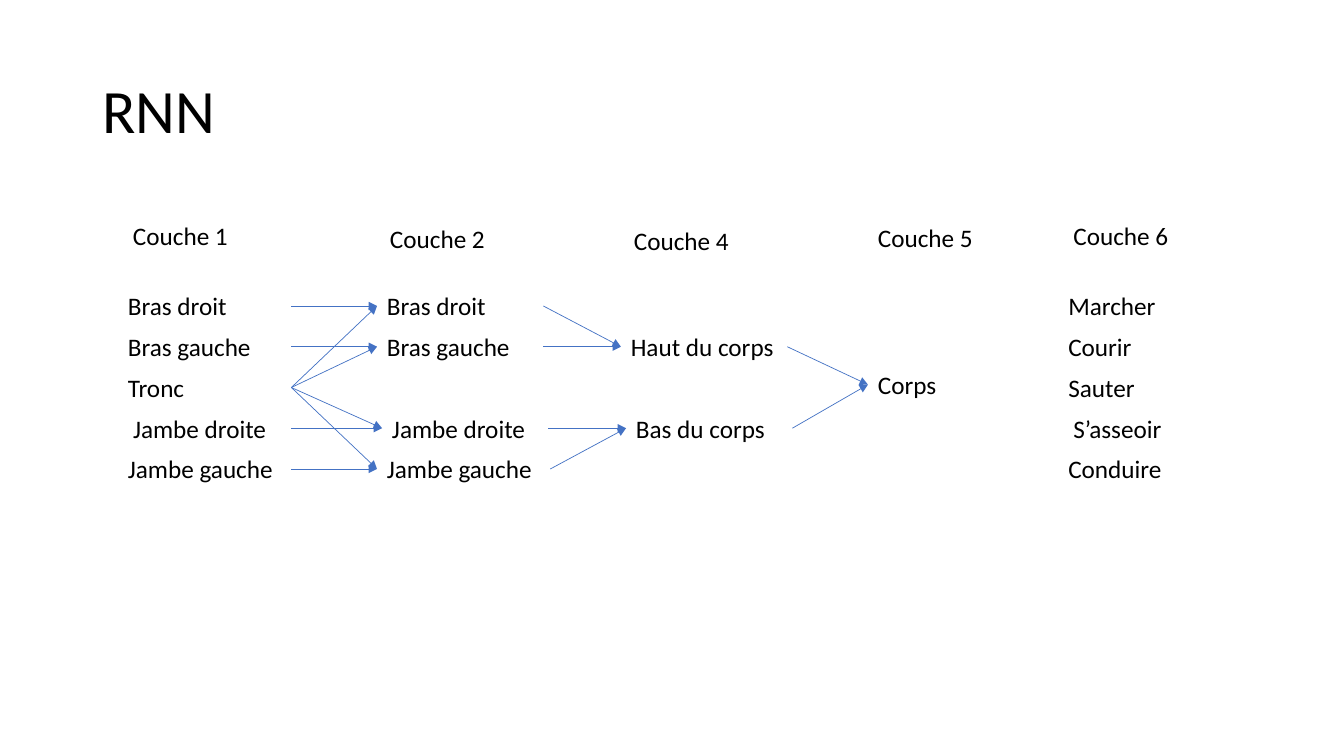
from pptx import Presentation
from pptx.dml.color import RGBColor
from pptx.enum.shapes import MSO_CONNECTOR
from pptx.enum.text import MSO_ANCHOR, MSO_AUTO_SIZE, PP_ALIGN
from pptx.oxml.ns import qn
from pptx.util import Inches, Pt
from lxml import etree

STRAIGHT = MSO_CONNECTOR.STRAIGHT
MIDDLE = MSO_ANCHOR.MIDDLE
LEFT = PP_ALIGN.LEFT
GROW = MSO_AUTO_SIZE.SHAPE_TO_FIT_TEXT
FIXED = MSO_AUTO_SIZE.NONE
LEFT_SIDE, RIGHT_SIDE = 1, 3

# Horizontal and vertical lengths are percentages of the slide's size
FIRST_ROW, ROW_STEP, BOX_HEIGHT = 37.78, 5.39, 5.39
INDENT = 0.38
HEADING_WIDTH = 8.7


def color(value):
    return RGBColor.from_string(value)


class Diagram:
    font = "Calibri"
    ink = "000000"
    accent = "4472C4"

    def __init__(self, deck):
        self.deck = deck
        self.page = deck.slides.add_slide(deck.slide_layouts[5])

    def across(self, percent):
        return round(self.deck.slide_width * percent / 100)

    def down(self, percent):
        return round(self.deck.slide_height * percent / 100)

    def add_text(self, para, text, size):
        para.alignment = LEFT
        span = para.add_run()
        span.text = text
        span.font.name = self.font
        span.font.size = Pt(size)
        span.font.color.rgb = color(self.ink)

    def title(self, text, left, top, width, height):
        box = self.page.shapes.title
        box.left, box.top = self.across(left), self.down(top)
        box.width, box.height = self.across(width), self.down(height)
        frame = box.text_frame
        frame.word_wrap = True
        frame.auto_size = FIXED
        frame.vertical_anchor = MIDDLE
        para = frame.paragraphs[0]
        para.line_spacing = 0.9
        self.add_text(para, text, 44)

    def label(self, text, left, top, width, wrap=True):
        box = self.page.shapes.add_textbox(
            self.across(left), self.down(top),
            self.across(width), self.down(BOX_HEIGHT))
        frame = box.text_frame
        frame.word_wrap = wrap
        frame.auto_size = GROW
        self.add_text(frame.paragraphs[0], text, 18)
        return box

    def arrow(self, source, target):
        link = self.page.shapes.add_connector(STRAIGHT, 0, 0, 0, 0)
        link.begin_connect(source, RIGHT_SIDE)
        link.end_connect(target, LEFT_SIDE)
        link.line.color.rgb = color(self.accent)
        link.line.width = Pt(0.5)
        properties = link._element.spPr
        head = etree.SubElement(properties.find(qn("a:ln")), qn("a:tailEnd"))
        head.set("type", "triangle")
        etree.SubElement(properties, qn("a:effectLst"))


# Heading, its left and top; then the nodes as (row, text, left, width)
INPUT, LIMBS, HALVES, BODY, ACTIONS = 8.78, 28.05, 46.2, 64.58, 78.75
WIDE, NARROW = 12.9, 12.38
LAYERS = [
    ("Couche 1", INPUT + INDENT, 28.53, [
        (0, "Bras droit", INPUT, WIDE),
        (1, "Bras gauche", INPUT, WIDE),
        (2, "Tronc", INPUT, WIDE),
        (3, "Jambe droite", INPUT + INDENT, WIDE - INDENT),
        (4, "Jambe gauche", INPUT, WIDE)]),
    ("Couche 2", 28.28, 28.83, [
        (0, "Bras droit", LIMBS, NARROW),
        (1, "Bras gauche", LIMBS, NARROW),
        (3, "Jambe droite", LIMBS + INDENT, NARROW),
        (4, "Jambe gauche", LIMBS, WIDE)]),
    ("Couche 4", 46.43, 29.2, [
        (1, "Haut du corps", HALVES, NARROW),
        (3, "Bas du corps", HALVES + INDENT, NARROW)]),
    ("Couche 5", BODY, 28.8, [(1.93, "Corps", BODY, NARROW)]),
    ("Couche 6", ACTIONS + INDENT, 28.53, [
        (0, "Marcher", ACTIONS, WIDE),
        (1, "Courir", ACTIONS, WIDE),
        (2, "Sauter", ACTIONS, WIDE),
        (3, "S’asseoir", ACTIONS + INDENT, WIDE - INDENT),
        (4, "Conduire", ACTIONS, WIDE)]),
]

# Arrows between neighbouring layers, as pairs of node positions
LINKS = [
    [(2, 0), (2, 1), (2, 2), (2, 3), (0, 0), (1, 1), (3, 2), (4, 3)],
    [(0, 0), (1, 0), (2, 1), (3, 1)],
    [(0, 0), (1, 0)],
]


def main():
    deck = Presentation()
    deck.slide_width, deck.slide_height = Inches(13.33), Inches(7.5)
    diagram = Diagram(deck)
    diagram.title("RNN", 6.88, 5.33, 86.25, 19.33)

    # Headings and nodes
    layers = []
    for heading, left, top, nodes in LAYERS:
        diagram.label(heading, left, top, HEADING_WIDTH, wrap=False)
        layers.append([
            diagram.label(text, node_left, FIRST_ROW + row * ROW_STEP, width)
            for row, text, node_left, width in nodes])

    # Arrows
    for sources, targets, pairs in zip(layers, layers[1:], LINKS):
        for start, end in pairs:
            diagram.arrow(sources[start], targets[end])

    deck.save("out.pptx")


if __name__ == "__main__":
    main()
